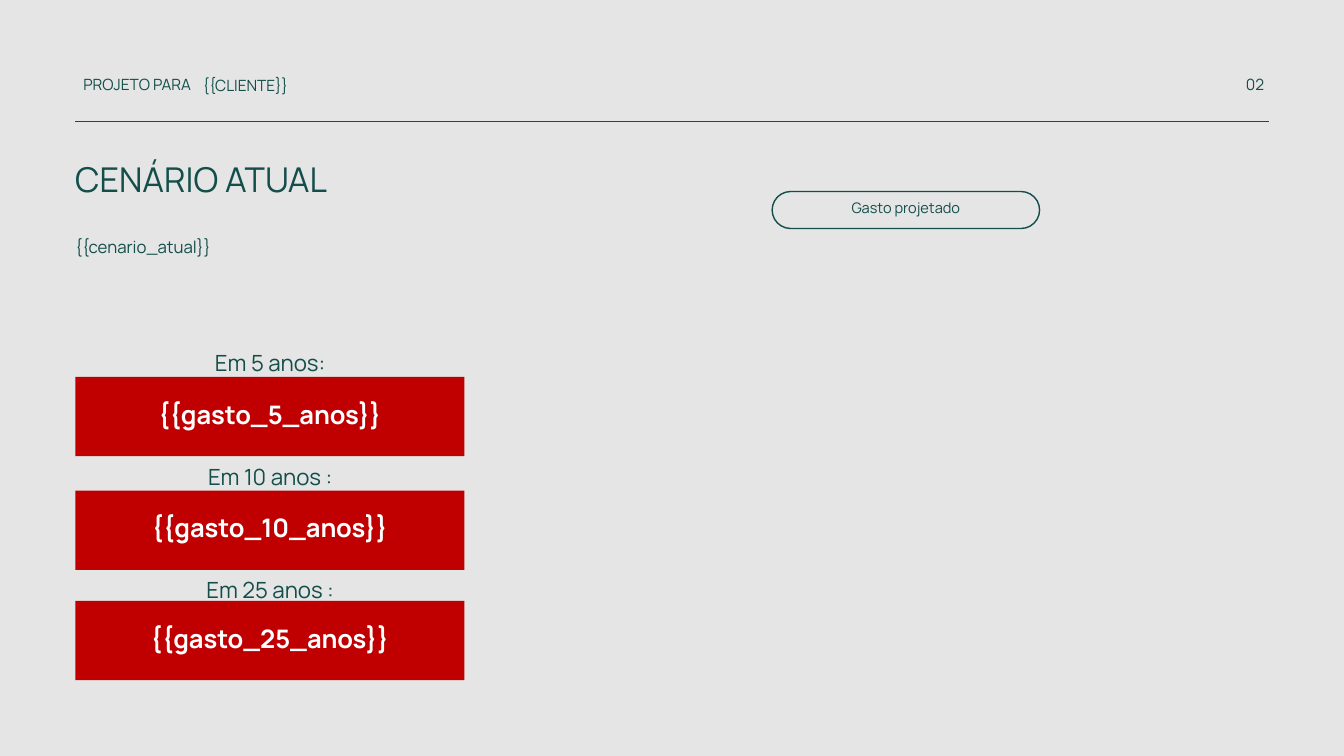
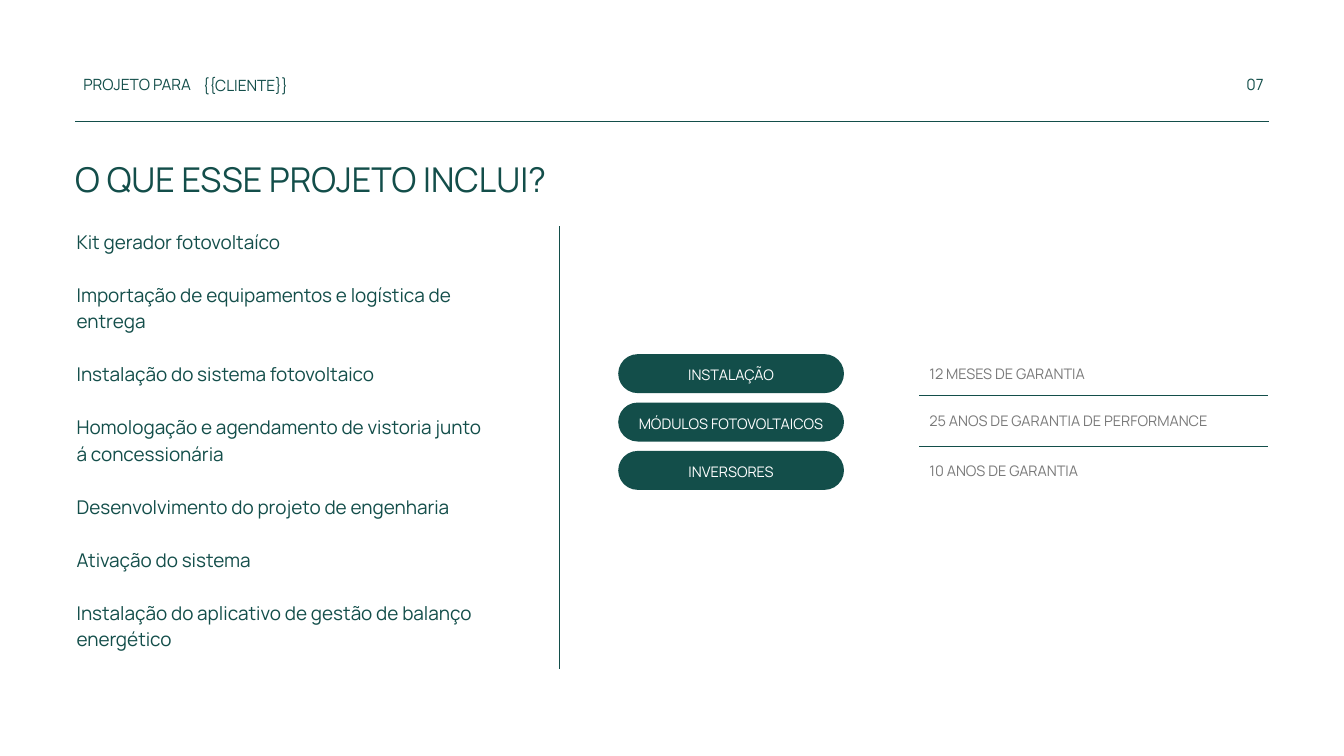
import pptx
import pptx.dml.color
import pptx.enum.shapes
import pptx.enum.text
import pptx.oxml.ns
import pptx.util
from lxml import etree

Inches = pptx.util.Inches
Pt = pptx.util.Pt
RGBColor = pptx.dml.color.RGBColor
MSO_SHAPE = pptx.enum.shapes.MSO_SHAPE
LEFT = pptx.enum.text.PP_ALIGN.LEFT
CENTER = pptx.enum.text.PP_ALIGN.CENTER

GREEN = RGBColor(0x13, 0x4E, 0x4A)
RED = RGBColor(0xC0, 0x00, 0x00)
GRAY = RGBColor(0x7A, 0x7A, 0x7A)
PALE = RGBColor(0xE5, 0xE5, 0xE5)
WHITE = RGBColor(0xFF, 0xFF, 0xFF)

FONT = "Manrope"
LEADING = 1.4
MARGIN_LEFT, MARGIN_RIGHT = 1.12, 18.88
HEADER_SIZE, TITLE_SIZE, LABEL_SIZE = 16.6, 36.6, 15.6


class Deck:
    def __init__(self):
        self.presentation = pptx.Presentation()
        self.presentation.slide_width = Inches(20)
        self.presentation.slide_height = Inches(11.25)
        self.slide = None

    def start_slide(self, number, title, background):
        """Add a slide with the shared header, rule and title."""
        self.slide = self.presentation.slides.add_slide(self.presentation.slide_layouts[6])
        fill = self.slide.background.fill
        fill.solid()
        fill.fore_color.rgb = background
        self.line(MARGIN_LEFT, 1.8, MARGIN_RIGHT, 1.8)
        self.text(1.24, 1.07, 1.71, 0.33, "PROJETO PARA", HEADER_SIZE)
        self.text(3.02, 1.08, 3.96, 0.32, "{{CLIENTE}}", HEADER_SIZE)
        self.text(18.48, 1.07, 0.39, 0.31, number, HEADER_SIZE, align=CENTER)
        self.text(MARGIN_LEFT, 2.25, 10.37, 0.7, title, TITLE_SIZE)

    def fill_frame(self, frame, paragraphs, size, color, align, bold=False, gap=0):
        frame.word_wrap = True
        for index, content in enumerate(paragraphs):
            paragraph = frame.add_paragraph() if index else frame.paragraphs[0]
            paragraph.alignment = align
            paragraph.line_spacing = Pt(round(size * LEADING, 1))
            if index and gap:
                paragraph.space_before = Pt(gap)
            run = paragraph.add_run()
            run.text = content
            run.font.name = FONT
            run.font.size = Pt(size)
            run.font.bold = bold
            run.font.color.rgb = color

    def text(self, left, top, width, height, content, size, color=GREEN, align=LEFT, gap=0):
        """Place a text box; content is one string or a list of paragraphs."""
        box = self.slide.shapes.add_textbox(
            Inches(left), Inches(top), Inches(width), Inches(height))
        frame = box.text_frame
        frame.margin_left = frame.margin_right = frame.margin_top = frame.margin_bottom = 0
        frame.auto_size = pptx.enum.text.MSO_AUTO_SIZE.SHAPE_TO_FIT_TEXT
        paragraphs = [content] if isinstance(content, str) else content
        self.fill_frame(frame, paragraphs, size, color, align, gap=gap)

    def labelled_shape(self, kind, left, top, width, height, label, size,
                       color=WHITE, fill=None, outline=None, bold=False, lift=0):
        """Draw a shape with a centred label; lift is the inset that raises the label."""
        shape = self.slide.shapes.add_shape(
            kind, Inches(left), Inches(top), Inches(width), Inches(height))
        shape.shadow.inherit = False
        if fill is None:
            shape.fill.background()
        else:
            shape.fill.solid()
            shape.fill.fore_color.rgb = fill
        if outline is None:
            shape.line.fill.background()
        else:
            shape.line.color.rgb = outline
            shape.line.width = Pt(1.5)
        frame = shape.text_frame
        frame.margin_left = frame.margin_right = Inches(0.06)
        frame.margin_top, frame.margin_bottom = 0, Inches(lift)
        frame.vertical_anchor = pptx.enum.text.MSO_ANCHOR.MIDDLE
        self.fill_frame(frame, [label], size, color, CENTER, bold)
        return shape

    def pill(self, left, top, width, height, label, **style):
        shape = self.labelled_shape(
            MSO_SHAPE.ROUNDED_RECTANGLE, left, top, width, height, label, LABEL_SIZE, **style)
        shape.adjustments[0] = 0.5

    def card(self, left, top, width, height, label):
        self.labelled_shape(MSO_SHAPE.RECTANGLE, left, top, width, height, label, 27.3,
                            fill=RED, bold=True, lift=0.15)

    def line(self, x1, y1, x2, y2):
        connector = self.slide.shapes.add_connector(
            pptx.enum.shapes.MSO_CONNECTOR.STRAIGHT,
            Inches(x1), Inches(y1), Inches(x2), Inches(y2))
        connector.line.color.rgb = GREEN
        connector.line.width = Pt(0.75)
        properties = connector._element.spPr
        etree.SubElement(properties, pptx.oxml.ns.qn("a:effectLst"))


def build_current_scenario(deck):
    deck.start_slide("02", "CENÁRIO ATUAL", PALE)
    deck.text(MARGIN_LEFT, 3.47, 5.79, 0.36, "{{cenario_atual}}", 18)
    deck.pill(11.49, 2.85, 3.98, 0.55, "Gasto projetado", color=GREEN, outline=GREEN, lift=0.1)

    spending = [
        ("Em 5 anos:", "{{gasto_5_anos}}", 5.61),
        ("Em 10 anos :", "{{gasto_10_anos}}", 7.3),
        ("Em 25 anos :", "{{gasto_25_anos}}", 8.94),
    ]
    for row, (period, amount, card_top) in enumerate(spending):
        deck.card(MARGIN_LEFT, card_top, 5.79, 1.18, amount)
        deck.text(1.16, 5.13 + 1.69 * row, 5.72, 0.46, period, 23.9, align=CENTER)


def build_project_scope(deck):
    deck.start_slide("07", "O QUE ESSE PROJETO INCLUI?", WHITE)
    included = [
        "Kit gerador fotovoltaíco",
        "Importação de equipamentos e logística de entrega",
        "Instalação do sistema fotovoltaico",
        "Homologação e agendamento de vistoria junto á concessionária",
        "Desenvolvimento do projeto de engenharia",
        "Ativação do sistema",
        "Instalação do aplicativo de gestão de balanço energético",
    ]
    deck.text(1.14, 3.37, 6.06, 6.64, included, 20.3, gap=28.4)
    deck.line(8.33, 9.95, 8.33, 3.37)

    warranties = [
        ("INSTALAÇÃO", "12 MESES DE GARANTIA", 5.39),
        ("MÓDULOS FOTOVOLTAICOS", "25 ANOS DE GARANTIA DE PERFORMANCE", 6.09),
        ("INVERSORES", "10 ANOS DE GARANTIA", 6.83),
    ]
    for row, (item, term, term_top) in enumerate(warranties):
        deck.pill(9.2, 5.27 + 0.72 * row, 3.36, 0.58, item, fill=GREEN)
        deck.text(13.83, term_top, 5.04, 0.3, term, LABEL_SIZE, GRAY)
    for divider_y in (5.88, 6.64):
        deck.line(13.68, divider_y, 18.87, divider_y)


def main():
    deck = Deck()
    build_current_scenario(deck)
    build_project_scope(deck)
    deck.presentation.save("out.pptx")


if __name__ == "__main__":
    main()
